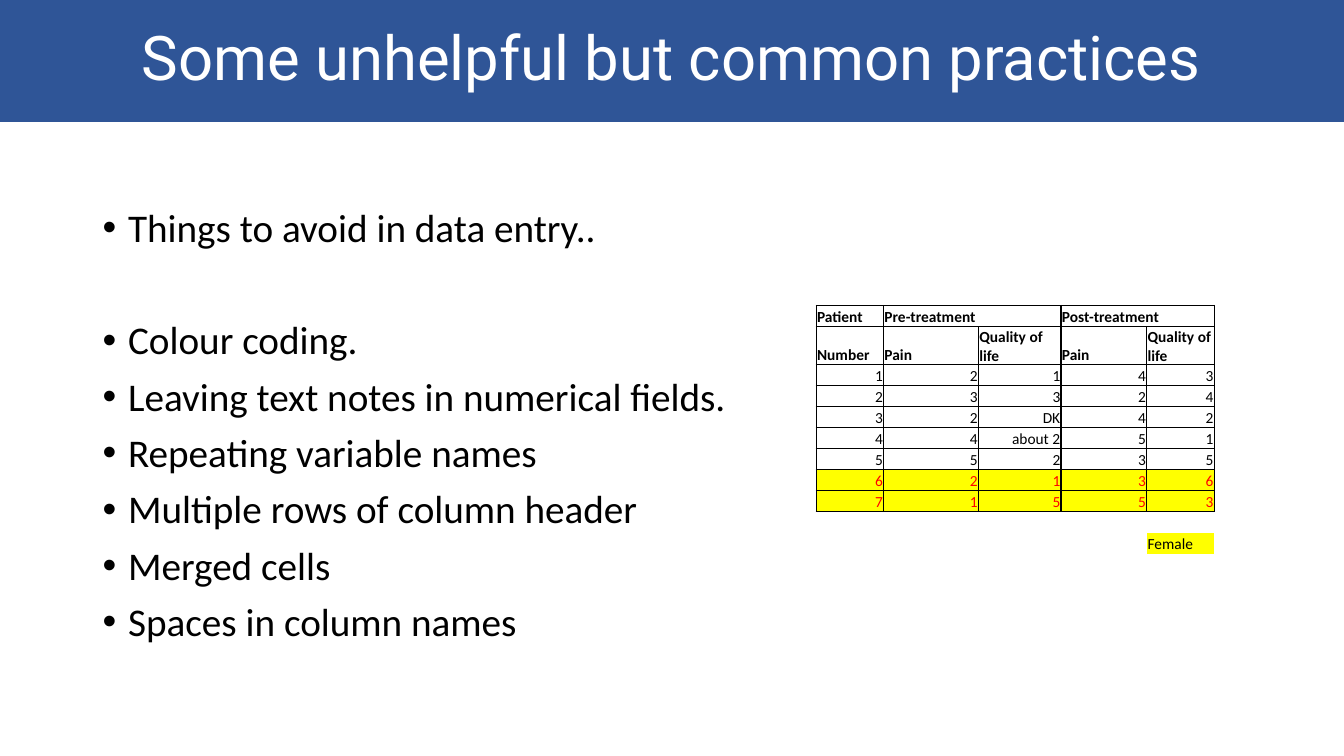
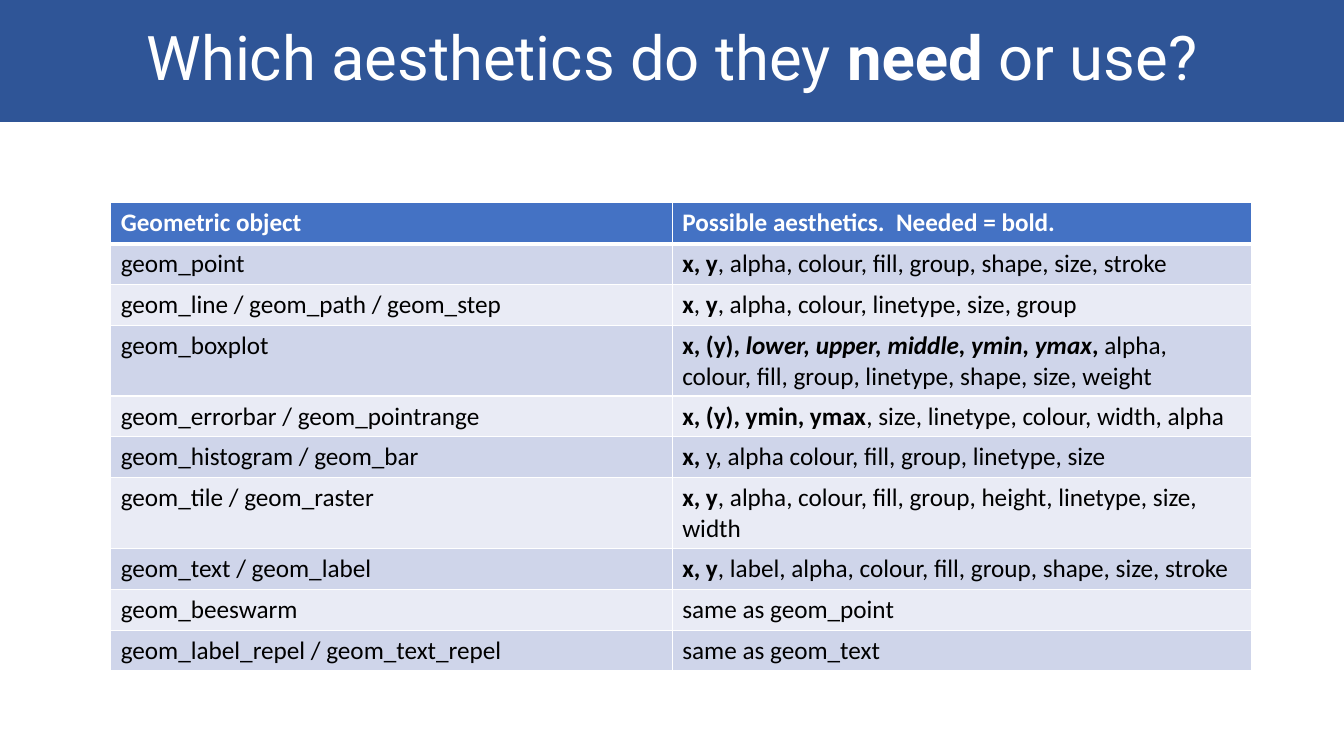
from dataclasses import dataclass

from pptx import Presentation
from pptx.dml.color import RGBColor
from pptx.enum.shapes import MSO_SHAPE
from pptx.enum.text import MSO_ANCHOR, PP_ALIGN
from pptx.oxml.xmlchemy import OxmlElement
from pptx.util import Cm, Pt


@dataclass(frozen=True)
class Theme:
    """Colours, fonts and type sizes shared by the slides."""
    band: str = "2F5597"
    header: str = "4472C4"
    stripes: tuple = ("CFD5EA", "E9EBF5")
    highlight: str = "FFFF00"
    alert: str = "FF0000"
    ink: str = "000000"
    paper: str = "FFFFFF"
    title_font: str = "Roboto"
    body_font: str = "Calibri"
    title_size: int = 44
    bullet_size: int = 28
    table_size: int = 18
    sheet_size: int = 11


THEME = Theme()
SLIDE_WIDTH, SLIDE_HEIGHT = Cm(33.87), Cm(19.05)

PRACTICES = [
    "Things to avoid in data entry..",
    "Colour coding.",
    "Leaving text notes in numerical fields.",
    "Repeating variable names",
    "Multiple rows of column header",
    "Merged cells",
    "Spaces in column names",
]

SHEET = [
    ["Patient", "Pre-treatment", "", "Post-treatment", ""],
    ["Number", "Pain", "Quality of life", "Pain", "Quality of life"],
    ["1", "2", "1", "4", "3"],
    ["2", "3", "3", "2", "4"],
    ["3", "2", "DK", "4", "2"],
    ["4", "4", "about 2", "5", "1"],
    ["5", "5", "2", "3", "5"],
    ["6", "2", "1", "3", "6"],
    ["7", "1", "5", "5", "3"],
    [""] * 5,
    ["", "", "", "", "Female"],
]
SHEET_HEADERS, SHEET_END, FEMALE_ROWS = 2, 9, (7, 8)

AESTHETICS = [
    ("Geometric object", [("Possible aesthetics.  Needed = bold.", "b")]),
    ("geom_point",
     [("x, y", "b"), (", alpha, colour, fill, group, shape, size, stroke", "")]),
    ("geom_line / geom_path / geom_step",
     [("x", "b"), (",", ""), (" y", "b"),
      (", alpha, colour, linetype, size, group", "")]),
    ("geom_boxplot",
     [("x, (y), ", "b"), ("lower, upper, middle, ymin, ymax", "bi"), (", ", "b"),
      ("alpha, colour, fill, group, linetype, shape, size, weight", "")]),
    ("geom_errorbar / geom_pointrange",
     [("x, (y), ymin, ymax", "b"), (", size, linetype, colour, width, alpha", "")]),
    ("geom_histogram / geom_bar",
     [("x, ", "b"), ("y, alpha colour, fill, group, linetype, size", "")]),
    ("geom_tile / geom_raster",
     [("x, y", "b"),
      (", alpha, colour, fill, group, height, linetype, size, width", "")]),
    ("geom_text / geom_label",
     [("x, y", "b"),
      (", label, alpha, colour, fill, group, shape, size, stroke", "")]),
    ("geom_beeswarm", [("same as geom_point", "")]),
    ("geom_label_repel / geom_text_repel", [("same as geom_text", "")]),
]


def write(paragraph, pieces, size, color, font=THEME.body_font):
    """Fill a paragraph with (text, style) pieces; b is bold and i italic."""
    for text, style in pieces:
        span = paragraph.add_run()
        span.text = text
        span.font.name = font
        span.font.size = Pt(size)
        span.font.bold = "b" in style
        span.font.italic = "i" in style
        span.font.color.rgb = RGBColor.from_string(color)


def add_page(deck, pieces):
    """Add a blank slide with its title band."""
    page = deck.slides.add_slide(deck.slide_layouts[6])
    band = page.shapes.add_shape(MSO_SHAPE.RECTANGLE, 0, 0, SLIDE_WIDTH, Cm(3.07))
    band.shadow.inherit = False
    band.fill.solid()
    band.fill.fore_color.rgb = RGBColor.from_string(THEME.band)
    band.line.fill.background()
    band.text_frame.word_wrap = True
    band.text_frame.vertical_anchor = MSO_ANCHOR.MIDDLE
    para = band.text_frame.paragraphs[0]
    para.alignment = PP_ALIGN.CENTER
    para.line_spacing = 0.9
    write(para, pieces, THEME.title_size, THEME.paper, THEME.title_font)
    return page


def set_bullet(para):
    """Give a paragraph a round bullet with a hanging indent."""
    properties = para._p.get_or_add_pPr()
    properties.set("marL", str(Cm(0.64)))
    properties.set("indent", str(-Cm(0.64)))
    for tag, name, value in (("a:buFont", "typeface", "Arial"),
                             ("a:buChar", "char", "•")):
        element = OxmlElement(tag)
        element.set(name, value)
        properties.append(element)


def add_bullets(page, lines):
    """Add the bullet list, with a wide gap after its opening line."""
    box = page.shapes.add_textbox(Cm(2.34), Cm(5.13), Cm(18), Cm(12.09))
    frame = box.text_frame
    frame.word_wrap = True
    for index, line in enumerate(lines):
        para = frame.add_paragraph() if index else frame.paragraphs[0]
        set_bullet(para)
        para.line_spacing = 0.9
        para.space_before = Pt((0, 50)[index] if index < 2 else 10)
        write(para, [(line, "")], THEME.bullet_size, THEME.ink)


def set_borders(cell, color, left=1, right=1, top=1, bottom=1):
    """Draw the four cell borders in points; zero means no line."""
    properties = cell._tc.get_or_add_tcPr()
    for side, width in zip("LRTB", (left, right, top, bottom)):
        line = OxmlElement(f"a:ln{side}")
        line.set("w", str(Pt(width)))
        fill = OxmlElement("a:solidFill" if width else "a:noFill")
        if width:
            shade = OxmlElement("a:srgbClr")
            shade.set("val", color)
            fill.append(shade)
        line.append(fill)
        properties.append(line)


def set_fill(cell, color):
    """Fill a cell with a colour, or leave it clear."""
    if color:
        cell.fill.solid()
        cell.fill.fore_color.rgb = RGBColor.from_string(color)
    else:
        cell.fill.background()


def set_empty_size(cell, size):
    """Keep an empty cell as low as a line of the given type size."""
    mark = OxmlElement("a:endParaRPr")
    mark.set("sz", str(size * 100))
    cell.text_frame.paragraphs[0]._p.append(mark)


def add_grid(page, left, top, widths, row_height, row_count):
    """Add an unstyled table with the given column widths in centimetres."""
    frame = page.shapes.add_table(row_count, len(widths), Cm(left), Cm(top),
                                  Cm(sum(widths)), Cm(row_height * row_count))
    table = frame.table
    table.first_row = table.horz_banding = False
    for column, width in zip(table.columns, widths):
        column.width = Cm(width)
    for row in table.rows:
        row.height = Cm(row_height)
    return table


def add_sheet(page):
    """Add the spreadsheet extract with its colour-coded rows."""
    table = add_grid(page, 20.57, 7.7, (1.7, 2.39, 2.08, 2.16, 1.7), 0.53, len(SHEET))
    for row, texts in enumerate(SHEET):
        for column, text in enumerate(texts):
            cell = table.cell(row, column)
            cell.margin_left = cell.margin_right = cell.margin_top = Cm(0.02)
            cell.margin_bottom = 0
            cell.vertical_anchor = MSO_ANCHOR.BOTTOM
            ruled = int(row < SHEET_END)
            set_borders(cell, THEME.ink, ruled, ruled, int(row <= SHEET_END), ruled)
            coded = row in FEMALE_ROWS
            set_fill(cell, THEME.highlight if coded or text == "Female" else None)
            if not text:
                set_empty_size(cell, THEME.sheet_size)
                continue
            para = cell.text_frame.paragraphs[0]
            if SHEET_HEADERS <= row < SHEET_END:
                para.alignment = PP_ALIGN.RIGHT
            write(para, [(text, "b" if row < SHEET_HEADERS else "")],
                  THEME.sheet_size, THEME.alert if coded else THEME.ink)
    for column in (1, 3):
        table.cell(0, column).merge(table.cell(0, column + 1))


def add_aesthetics(page):
    """Add the striped table of geometric objects and their aesthetics."""
    table = add_grid(page, 2.79, 5.11, (14.15, 14.6), 1.03, len(AESTHETICS))
    for row, (name, aesthetics) in enumerate(AESTHETICS):
        fill = THEME.stripes[(row - 1) % 2] if row else THEME.header
        name_pieces = [(name, "" if row else "b")]
        for column, pieces in enumerate((name_pieces, aesthetics)):
            cell = table.cell(row, column)
            set_borders(cell, THEME.paper, top=3 if row == 1 else 1,
                        bottom=1 if row else 3)
            set_fill(cell, fill)
            write(cell.text_frame.paragraphs[0], pieces, THEME.table_size,
                  THEME.ink if row else THEME.paper)


def main():
    """Build and save the deck."""
    deck = Presentation()
    deck.slide_width, deck.slide_height = SLIDE_WIDTH, SLIDE_HEIGHT

    page = add_page(deck, [("Some unhelpful but common practices", "")])
    add_bullets(page, PRACTICES)
    add_sheet(page)

    page = add_page(deck, [("Which aesthetics do they ", ""), ("need ", "b"),
                           ("or use?", "")])
    add_aesthetics(page)

    deck.save("out.pptx")


if __name__ == "__main__":
    main()
